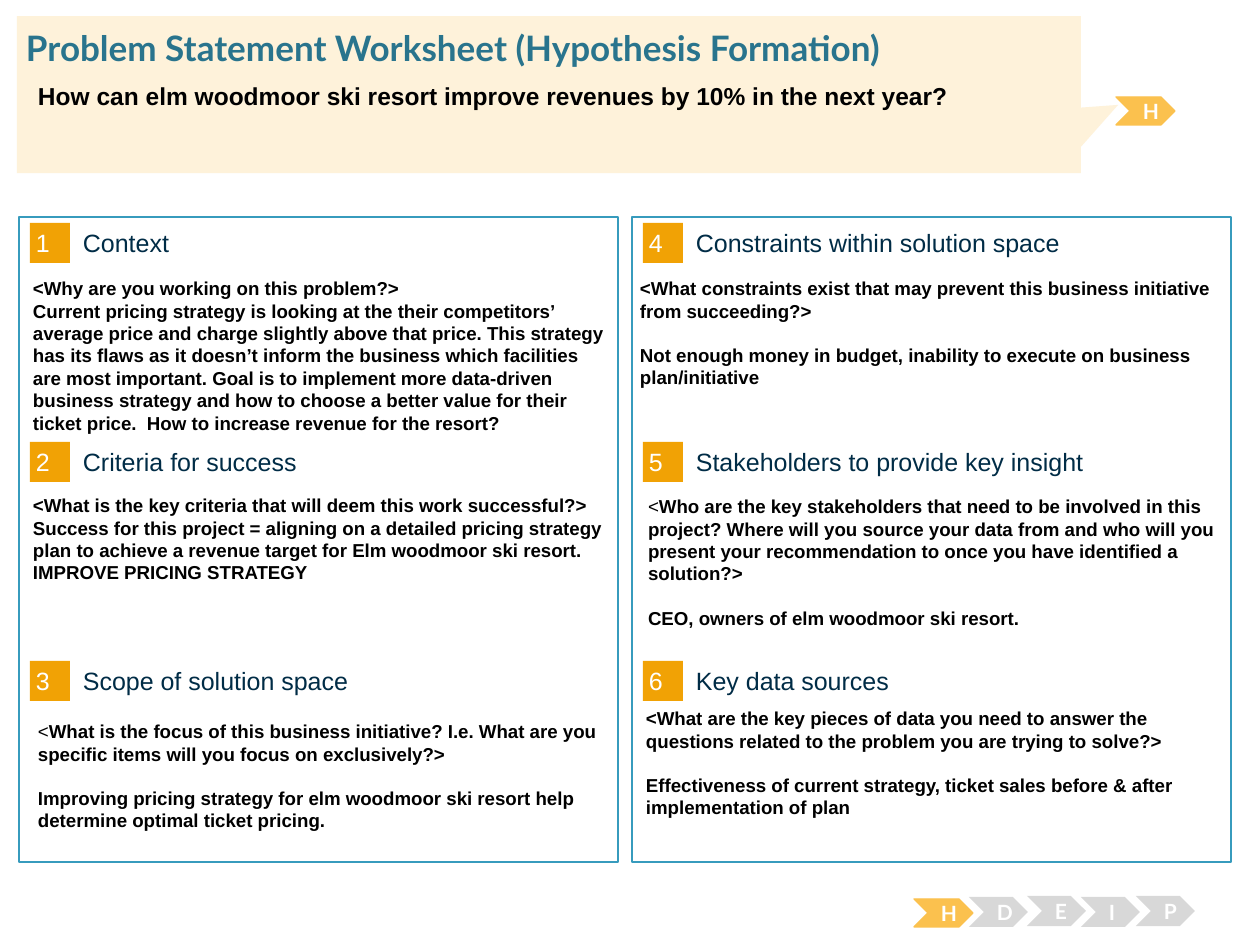
from pptx import Presentation
from pptx.dml.color import RGBColor
from pptx.enum.shapes import MSO_SHAPE as Preset
from pptx.enum.text import MSO_ANCHOR as Anchor, MSO_AUTO_SIZE as AutoSize, PP_ALIGN as Align
from pptx.util import Emu, Pt

PIXEL = 914400 // 126
WHITE = RGBColor(0xFF, 0xFF, 0xFF)
BLACK = RGBColor(0, 0, 0)
TEAL = RGBColor(0x29, 0x74, 0x8D)
BORDER = RGBColor(0x37, 0x9B, 0xBD)
NAVY = RGBColor(0x00, 0x2C, 0x46)
ORANGE = RGBColor(0xF1, 0xA2, 0x05)
AMBER = RGBColor(0xFB, 0xC1, 0x4E)
CREAM = RGBColor(0xFE, 0xF2, 0xDA)
GREY = RGBColor(0xD8, 0xD8, 0xD8)

TITLE = "Problem Statement Worksheet (Hypothesis Formation)"
QUESTION = "How can elm woodmoor ski resort improve revenues by 10% in the next year?"

# heading, body box (left, top, height), gap before last paragraph, plain "<", paragraphs
SECTIONS = [
    ("Context", (20, 271, 171), False, False, [
        "<Why are you working on this problem?>",
        "Current pricing strategy is looking at the their competitors’ average price and charge "
        "slightly above that price. This strategy has its flaws as it doesn’t inform the business "
        "which facilities are most important. Goal is to implement more data-driven business "
        "strategy and how to choose a better value for their ticket price.  How to increase "
        "revenue for the resort?"]),
    ("Criteria for success", (20, 488, 194), False, False, [
        "<What is the key criteria that will deem this work successful?>",
        "Success for this project = aligning on a detailed pricing strategy plan to achieve a "
        "revenue target for Elm woodmoor ski resort.",
        "IMPROVE PRICING STRATEGY"]),
    ("Scope of solution space", (25, 714, 103), True, True, [
        "<What is the focus of this business initiative? I.e. What are you specific items will "
        "you focus on exclusively?>",
        "Improving pricing strategy for elm woodmoor ski resort help determine optimal ticket "
        "pricing."]),
    ("Constraints within solution space", (627, 271, 149), True, False, [
        "<What constraints exist that may prevent this business initiative from succeeding?>",
        "Not enough money in budget, inability to execute on business plan/initiative"]),
    ("Stakeholders to provide key insight", (635, 489, 149), True, True, [
        "<Who are the key stakeholders that need to be involved in this project? Where will you "
        "source your data from and who will you present your recommendation to once you have "
        "identified a solution?>",
        "CEO, owners of elm woodmoor ski resort."]),
    ("Key data sources", (633, 701, 149), True, False, [
        "<What are the key pieces of data you need to answer the questions related to the "
        "problem you are trying to solve?>",
        "Effectiveness of current strategy, ticket sales before & after implementation of plan"]),
]

# letter, left, top, height, colour
CHEVRONS = [
    ("H", 914, 899, 28, AMBER), ("D", 969, 897, 30, GREY), ("E", 1027, 896, 30, GREY),
    ("I", 1081, 897, 30, GREY), ("P", 1136, 896, 30, GREY), ("H", 1116, 97, 28, AMBER),
]
ROWS, COLUMN_STEP, ROW_STEP = 3, 613, 219


def box(left, top, width, height):
    """Turn pixel lengths into EMU."""
    return [Emu(value * PIXEL) for value in (left, top, width, height)]


def style_run(run, size, color, bold=False, font="Arial"):
    """Format one run."""
    run.font.size, run.font.name, run.font.bold = Pt(size), font, bold
    run.font.color.rgb = color


def set_frame(shape, horizontal, vertical, anchor):
    """Set wrapping, margins in pixels and anchoring of a text frame."""
    frame = shape.text_frame
    frame.word_wrap, frame.auto_size, frame.vertical_anchor = True, AutoSize.NONE, anchor
    frame.margin_left = frame.margin_right = Emu(horizontal * PIXEL)
    frame.margin_top = frame.margin_bottom = Emu(vertical * PIXEL)
    return frame


def add_filled(preset, place, fill, line=None, line_width=0.75):
    """Add a flat preset shape."""
    shape = slide.shapes.add_shape(preset, *box(*place))
    shape.shadow.inherit = False
    shape.fill.solid()
    shape.fill.fore_color.rgb = fill
    if line is None:
        shape.line.fill.background()
    else:
        shape.line.color.rgb, shape.line.width = line, Pt(line_width)
    return shape


def write_line(shape, text, size, color, margins=(0, 0), anchor=Anchor.MIDDLE,
               align=Align.LEFT, bold=False, font="Arial"):
    """Write a single formatted line into a shape."""
    frame = set_frame(shape, *margins, anchor)
    frame.text = text
    paragraph = frame.paragraphs[0]
    paragraph.alignment = align
    style_run(paragraph.runs[0], size, color, bold, font)


def add_body(place, paragraphs, gap, plain_bracket):
    """Add the bold answer text of a section."""
    left, top, height = place
    frame = set_frame(slide.shapes.add_textbox(*box(left, top, 598, height)), 13, 6, Anchor.TOP)
    for index, text in enumerate(paragraphs):
        paragraph = frame.add_paragraph() if index else frame.paragraphs[0]
        parts = [text[:1], text[1:]] if plain_bracket and index == 0 else [text]
        for part in parts:
            run = paragraph.add_run()
            run.text = part
            style_run(run, 10.7, BLACK, bold=part != "<")
    if gap:
        frame.paragraphs[-1].space_before = Pt(12.5)


def add_section(index, heading, place, gap, plain_bracket, paragraphs):
    """Add a numbered badge, its heading and its text."""
    column, row = divmod(index, ROWS)
    left, top = 30 + column * COLUMN_STEP, 223 + row * ROW_STEP
    badge = add_filled(Preset.RECTANGLE, (left, top, 40, 40), ORANGE)
    write_line(badge, str(index + 1), 14.3, WHITE, (6, 6))
    label = slide.shapes.add_textbox(*box(left + 53, top + 4, 495, 31))
    write_line(label, heading, 14.3, NAVY)
    add_body(place, paragraphs, gap, plain_bracket)


presentation = Presentation()
presentation.slide_width, presentation.slide_height = box(0, 0, 1260, 945)[2:]
slide = presentation.slides.add_slide(presentation.slide_layouts[5])

for column in range(2):
    add_filled(Preset.RECTANGLE, (19 + column * COLUMN_STEP, 217, 599, 645), WHITE, BORDER, 1.5)
for index, section in enumerate(SECTIONS):
    add_section(index, *section)

for letter, left, top, height, color in CHEVRONS:
    chevron = add_filled(Preset.CHEVRON, (left, top, 59, height), color,
                         AMBER if color == AMBER else None)
    write_line(chevron, letter, 12, WHITE, (13, 6), align=Align.CENTER, bold=True, font="Lato")

callout = add_filled(Preset.RECTANGULAR_CALLOUT, (17, 16, 1064, 157), CREAM)
callout.adjustments[0], callout.adjustments[1] = 0.535, 0.066

title = slide.shapes.title
title.left, title.top, title.width, title.height = box(26, 26, 1212, 43)
write_line(title, TITLE, 20, TEAL, bold=True, font="Lato")
callout.element.addnext(title.element)

question = slide.shapes.add_textbox(*box(25, 75, 1183, 68))
write_line(question, QUESTION, 14, BLACK, (13, 6), Anchor.TOP, bold=True)

presentation.save("out.pptx")
